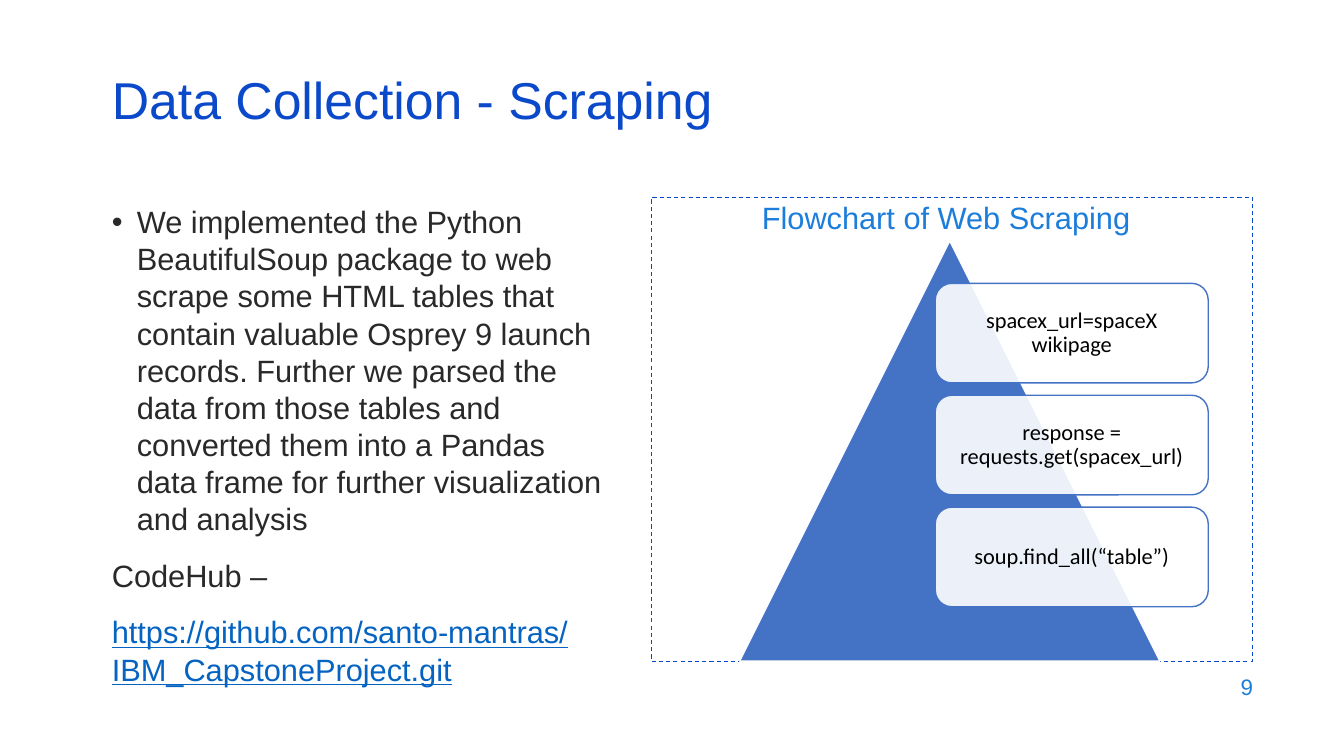
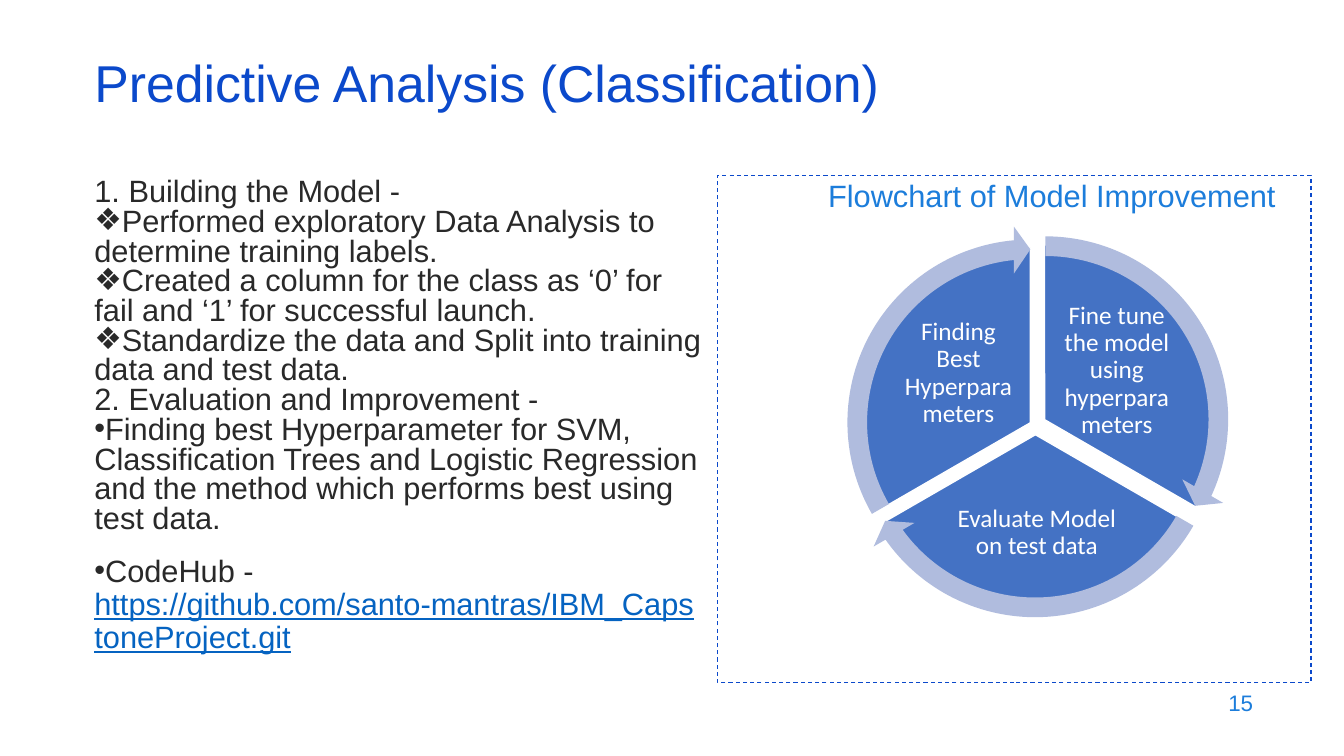
from lxml import etree
from pptx import Presentation
from pptx.dml.color import RGBColor
from pptx.enum import dml, shapes, text
from pptx.oxml import ns
from pptx.util import Cm, Pt

COLORS = {
    "title": "0B49CB", "accent": "1C7DDB", "body": "292929", "link": "0563C1",
    "shape": "4472C4", "arrow": "B0BCDE", "white": "FFFFFF", "black": "000000",
}
SHAPE = shapes.MSO_SHAPE
LEFT, CENTER, RIGHT = text.PP_ALIGN.LEFT, text.PP_ALIGN.CENTER, text.PP_ALIGN.RIGHT
INSET = (0.25, 0.13)
URL = "https://github.com/santo-mantras/IBM_CapstoneProject.git"

SCRAPING = {
    "title": "Data Collection - Scraping", "title_at": (2.57, 1.93),
    "number": "9", "number_top": 16.74,
    "body_at": (2.57, 4.98, 13.1, 11.76), "hanging": 0.63,
    "body": [
        ("•", 26.5, 0, [
            ("We implemented the Python BeautifulSoup package to web scrape some "
             "HTML tables that contain valuable Osprey 9 launch records. Further we "
             "parsed the data from those tables and converted them into a Pandas "
             "data frame for further visualization and analysis", "body")]),
        (None, 26.5, 14, [("CodeHub –", "body")]),
        (None, 26.5, 14, [(URL, "link")]),
    ],
    "caption": "Flowchart of Web Scraping", "frame_at": (16.41, 4.98, 15.16, 11.68),
}
STEPS = ["spacex_url=spaceX wikipage", "response = requests.get(spacex_url)",
         "soup.find_all(“table”)"]

ANALYSIS = {
    "title": "Predictive Analysis (Classification)", "title_at": (2.13, 1.5),
    "number": "15", "number_top": 17.15,
    "body_at": (2.13, 4.39, 15.8, 13.46), "hanging": 0,
    "body": [
        (None, 21.2, 0, [("1. Building the Model -", "body")]),
        ("❖", 21.2, 0, [
            ("Performed exploratory Data Analysis to determine training labels.", "body")]),
        ("❖", 21.2, 0, [
            ("Created a column for the class as ‘0’ for fail and ‘1’ for successful "
             "launch.", "body")]),
        ("❖", 21.2, 0, [
            ("Standardize the data and Split into training data and test data.", "body")]),
        (None, 21.2, 0, [("2. Evaluation and Improvement -", "body")]),
        ("•", 21.2, 0, [
            ("Finding best Hyperparameter for SVM, Classification Trees and Logistic "
             "Regression and the method which performs best using test data.", "body")]),
        ("•", 23.7, 14, [("CodeHub -\v", "body"), (URL, "link")]),
    ],
    "caption": "Flowchart of Model Improvement", "frame_at": (18.08, 4.42, 14.96, 12.78),
}
PIE_SIZE, ARROW_SIZE = 8.81, 9.91
CYCLE = [
    {"label": "Fine tune the model using hyperparameters",
     "label_at": (26.57, 8.03, 3.15, 2.62), "pie_at": (21.92, 6.17), "angles": (162, 18),
     "arrow_at": (21.39, 5.61), "sweep": (14.73, 161.99)},
    {"label": "Evaluate Model on test data",
     "label_at": (23.77, 12.27, 4.72, 2.31), "pie_at": (21.69, 6.55), "angles": (18, 90),
     "arrow_at": (21.13, 5.99), "sweep": (86.72, 18)},
    {"label": "Finding Best Hyperparameters",
     "label_at": (22.58, 8.1, 3.15, 2.62), "pie_at": (21.56, 6.25), "angles": (90, 162),
     "arrow_at": (21.01, 5.69), "sweep": (158.73, 90)},
]


def rgb(name):
    return RGBColor.from_string(COLORS[name])


def style_run(r, size, color, font="Arial"):
    r.font.size, r.font.name = Pt(size), font
    r.font.color.rgb = rgb(color)


def set_frame(tf, inset=INSET, anchor=text.MSO_ANCHOR.MIDDLE):
    tf.word_wrap = True
    tf.vertical_anchor = anchor
    tf.margin_left = tf.margin_right = Cm(inset[0])
    tf.margin_top = tf.margin_bottom = Cm(inset[1])


def write(sp, words, size, color, font="Arial", align=LEFT, spacing=None, **frame):
    tf = sp.text_frame
    set_frame(tf, **frame)
    tf.text = words
    p = tf.paragraphs[0]
    p.alignment, p.line_spacing = align, spacing
    for r in p.runs:
        style_run(r, size, color, font)
    return p


def add_box(s, at):
    return s.shapes.add_textbox(*map(Cm, at))


def add_shape(s, kind, at, fill=None, line=None, width=1):
    sp = s.shapes.add_shape(kind, *map(Cm, at))
    sp.shadow.inherit = False
    if fill:
        sp.fill.solid()
        sp.fill.fore_color.rgb = rgb(fill)
    else:
        sp.fill.background()
    if line:
        sp.line.color.rgb = rgb(line)
        sp.line.width = Pt(width)
    else:
        sp.line.fill.background()
    return sp


def set_adjustments(sp, values):
    for i, value in enumerate(values):
        sp.adjustments[i] = value


def set_indent(p, left, first=0):
    pPr = p._p.get_or_add_pPr()
    pPr.set("marL", str(Cm(left)))
    pPr.set("indent", str(Cm(first)))
    return pPr


def add_body(s, at, paragraphs, hanging):
    tf = add_box(s, at).text_frame
    set_frame(tf, anchor=text.MSO_ANCHOR.TOP)
    for i, (bullet, spacing, before, pieces) in enumerate(paragraphs):
        p = tf.add_paragraph() if i else tf.paragraphs[0]
        if bullet:
            pPr = set_indent(p, hanging, -hanging)
            etree.SubElement(pPr, ns.qn("a:buFont")).set("typeface", "Arial")
            etree.SubElement(pPr, ns.qn("a:buChar")).set("char", bullet)
        p.line_spacing = Pt(spacing)
        if before:
            p.space_before = Pt(before)
        for words, color in pieces:
            if words.endswith("\v"):
                r = p.add_run()
                r.text = words[:-1]
                p.add_line_break()
            else:
                r = p.add_run()
                r.text = words
            style_run(r, 22, color)
            if color == "link":
                r.font.underline = True


def add_slide(prs, content):
    s = prs.slides.add_slide(prs.slide_layouts[6])
    write(add_box(s, (*content["title_at"], 29.21, 1.52)), content["title"], 37, "title",
          spacing=0.7)
    write(add_box(s, (24.21, content["number_top"], 7.62, 1.12)), content["number"], 16,
          "accent", align=RIGHT)
    add_body(s, content["body_at"], content["body"], content["hanging"])
    frame = add_shape(s, SHAPE.RECTANGLE, content["frame_at"], line="title", width=0.75)
    frame.line.dash_style = dml.MSO_LINE.DASH
    p = write(frame, content["caption"], 22, "accent", spacing=Pt(23.7),
              anchor=text.MSO_ANCHOR.TOP)
    set_indent(p, 2.54)
    return s


def add_pyramid(s):
    add_shape(s, SHAPE.ISOSCELES_TRIANGLE, (18.64, 6.07, 10.59, 10.59), "shape", "white")
    for i, step in enumerate(STEPS):
        card = add_shape(s, SHAPE.ROUNDED_RECTANGLE, (23.57, 7.14 + i * 2.82, 6.88, 2.51),
                         "white", "shape")
        color = card.fill._xPr.find(ns.qn("a:solidFill"))[0]
        etree.SubElement(color, ns.qn("a:alpha")).set("val", "90000")
        write(card, step, 16, "black", "Calibri", CENTER, 0.9, inset=(0.3, 0.3))


def add_cycle(s):
    for part in CYCLE:
        pie = add_shape(s, SHAPE.PIE, (*part["pie_at"], PIE_SIZE, PIE_SIZE), "shape", "white")
        set_adjustments(pie, part["angles"])
        write(add_box(s, part["label_at"]), part["label"], 18, "white", "Calibri", CENTER,
              0.9, inset=(0.08, 0.08))
    for part in CYCLE:
        arrow = add_shape(s, SHAPE.CIRCULAR_ARROW,
                          (*part["arrow_at"], ARROW_SIZE, ARROW_SIZE), "arrow")
        set_adjustments(arrow, (0.05, 3.28, *part["sweep"], 0.06))


def main():
    prs = Presentation()
    prs.slide_width, prs.slide_height = Cm(33.87), Cm(19.05)
    add_pyramid(add_slide(prs, SCRAPING))
    add_cycle(add_slide(prs, ANALYSIS))
    prs.save("out.pptx")


if __name__ == "__main__":
    main()
